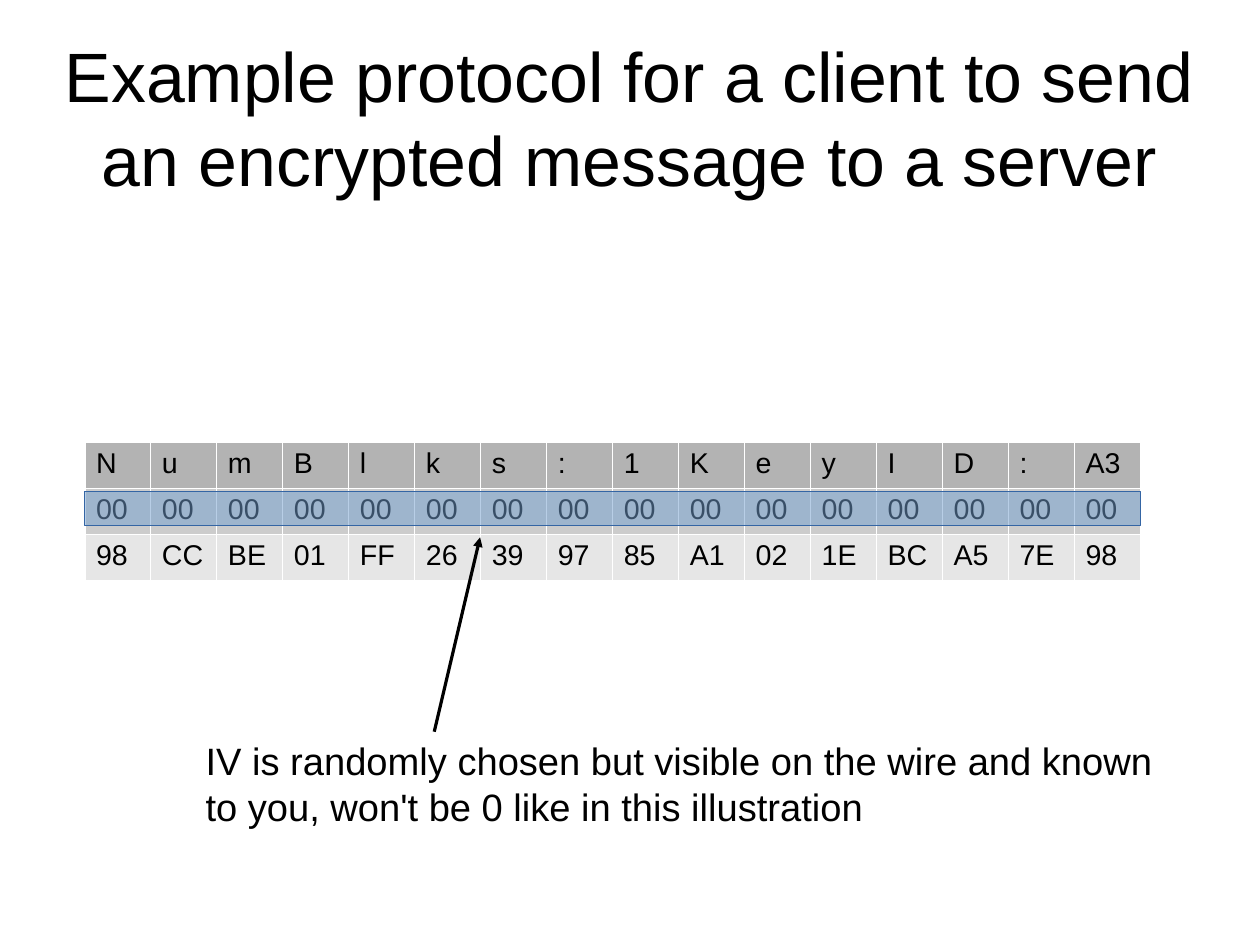
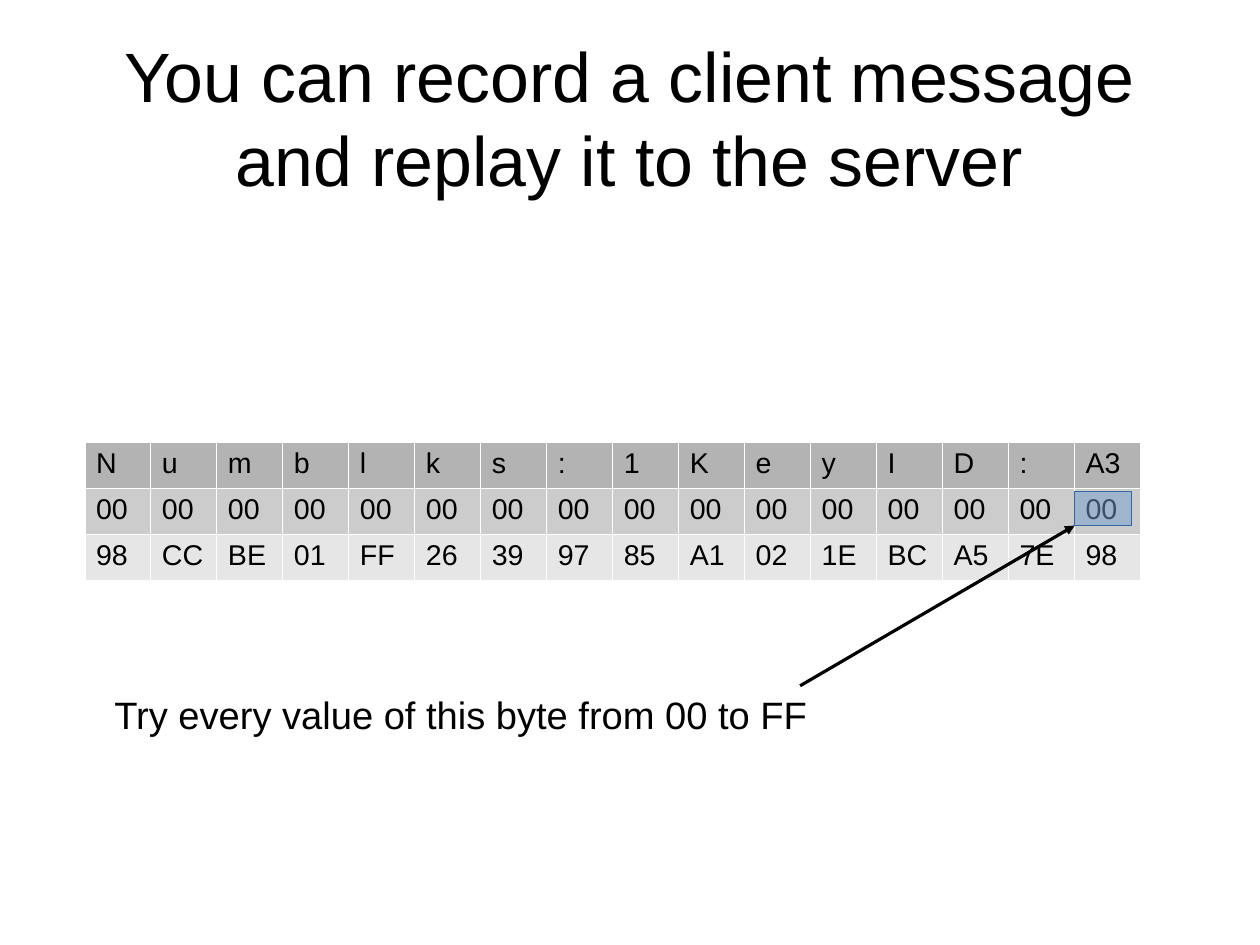
from collections import namedtuple
from dataclasses import dataclass

from lxml import etree
from pptx import Presentation
from pptx.dml.color import RGBColor
from pptx.enum.shapes import MSO_CONNECTOR, MSO_SHAPE
from pptx.enum.text import MSO_ANCHOR, MSO_AUTO_SIZE, PP_ALIGN
from pptx.oxml.ns import qn
from pptx.util import Cm, Pt

RECT = MSO_SHAPE.RECTANGLE
STRAIGHT = MSO_CONNECTOR.STRAIGHT
MIDDLE = MSO_ANCHOR.MIDDLE
GROW = MSO_AUTO_SIZE.SHAPE_TO_FIT_TEXT
CENTER = PP_ALIGN.CENTER
LEFT = PP_ALIGN.LEFT

Box = namedtuple("Box", "x y w h")


@dataclass(frozen=True)
class Theme:
    font: str = "Arial"
    text: str = "000000"
    border: str = "FFFFFF"
    rows: tuple = ("B3B3B3", "CCCCCC", "E6E6E6")
    mark: str = "729FCF"
    mark_line: str = "3465A4"
    mark_alpha: int = 50
    title_size: int = 44
    caption_size: int = 24
    byte_size: int = 18
    border_width: float = 0.06


THEME = Theme()
TITLE = Box(1.4, 0.84, 25.2, 3.5)
BYTES = Box(1.88, 9.83, 23.47, 2.92)
IV = ["00"] * 16
CIPHERTEXT = "98 CC BE 01 FF 26 39 97 85 A1 02 1E BC A5 7E 98".split()

SLIDES = [
    {
        "title": "Example protocol for a client to send an encrypted message to a server",
        "header": "NumBlks:1KeyID:",
        "mark": Box(0, 1.09, 23.47, 0.76),
        "caption": "IV is randomly chosen but visible on the wire and known to you, "
                   "won't be 0 like in this illustration",
        "caption_box": Box(4.32, 16.26, 21.59, 2.16),
        "arrow_start": 5.33,
        "arrow_tip": (8.79, 2.11),
    },
    {
        "title": "You can record a client message and replay it to the server",
        "header": "Numblks:1KeyID:",
        "mark": Box(22, 1.09, 1.27, 0.76),
        "caption": "Try every value of this byte from 00 to FF",
        "caption_box": Box(2.29, 15.24, 17.02, 1.19),
        "arrow_start": 15.49,
        "arrow_tip": (22, 1.85),
    },
]


def rgb(value):
    return RGBColor.from_string(value)


def cms(values):
    return [Cm(v) for v in values]


def set_attrs(obj, **values):
    for name, value in values.items():
        setattr(obj, name, value)


def write(tf, text, size, align=LEFT):
    tf.text = text
    p = tf.paragraphs[0]
    p.alignment = align
    font = p.runs[0].font
    set_attrs(font, name=THEME.font, size=Pt(size), bold=False)
    font.color.rgb = rgb(THEME.text)


def add_title(s, box, text):
    sp = s.shapes.title
    left, top, width, height = cms(box)
    set_attrs(sp, left=left, top=top, width=width, height=height)
    tf = sp.text_frame
    set_attrs(tf, margin_left=0, margin_right=0, margin_top=0, margin_bottom=0,
              vertical_anchor=MIDDLE, word_wrap=True, auto_size=GROW)
    write(tf, text, THEME.title_size, CENTER)


def add_borders(cell):
    tcPr = cell._tc.get_or_add_tcPr()
    for side in ("a:lnL", "a:lnR", "a:lnT", "a:lnB"):
        ln = etree.SubElement(tcPr, qn(side), w=str(int(Pt(THEME.border_width))))
        fill = etree.SubElement(ln, qn("a:solidFill"))
        etree.SubElement(fill, qn("a:srgbClr"), val=THEME.border)


def add_bytes(s, box, rows):
    table = s.shapes.add_table(len(rows), len(rows[0]), *cms(box)).table
    set_attrs(table, first_row=False, horz_banding=False)
    for row, values, color in zip(table.rows, rows, THEME.rows):
        row.height = Cm(box.h / len(rows))
        for cell, value in zip(row.cells, values):
            add_borders(cell)
            cell.fill.solid()
            cell.fill.fore_color.rgb = rgb(color)
            write(cell.text_frame, value, THEME.byte_size)


def add_mark(s, box):
    sp = s.shapes.add_shape(RECT, *cms(box))
    sp.shadow.inherit = False
    sp.fill.solid()
    sp.fill.fore_color.rgb = rgb(THEME.mark)
    color = sp.fill._xPr.find(".//" + qn("a:srgbClr"))
    etree.SubElement(color, qn("a:alpha"), val=str(THEME.mark_alpha * 1000))
    sp.line.color.rgb = rgb(THEME.mark_line)
    sp.line.width = 0


def add_caption(s, box, text):
    tf = s.shapes.add_textbox(*cms(box)).text_frame
    set_attrs(tf, word_wrap=True, auto_size=GROW)
    write(tf, text, THEME.caption_size)


def add_arrow(s, start, tip):
    line = s.shapes.add_connector(STRAIGHT, *cms(start + tip))
    line.line.color.rgb = rgb(THEME.text)
    line.line.width = 0
    etree.SubElement(line.line._get_or_add_ln(), qn("a:tailEnd"), type="triangle")
    etree.SubElement(line._element.spPr, qn("a:effectLst"))


def add_message_slide(prs, spec_values):
    v = spec_values
    s = prs.slides.add_slide(prs.slide_layouts[5])
    add_title(s, TITLE, v["title"])
    add_bytes(s, BYTES, [list(v["header"]) + ["A3"], IV, CIPHERTEXT])
    mark, caption, tip = v["mark"], v["caption_box"], v["arrow_tip"]
    add_mark(s, mark._replace(x=BYTES.x + mark.x, y=BYTES.y + mark.y))
    add_caption(s, caption, v["caption"])
    add_arrow(s, (caption.x + v["arrow_start"], caption.y),
              (BYTES.x + tip[0], BYTES.y + tip[1]))


def main():
    prs = Presentation()
    set_attrs(prs, slide_width=Cm(28), slide_height=Cm(21))
    for values in SLIDES:
        add_message_slide(prs, values)
    prs.save("out.pptx")


if __name__ == "__main__":
    main()
